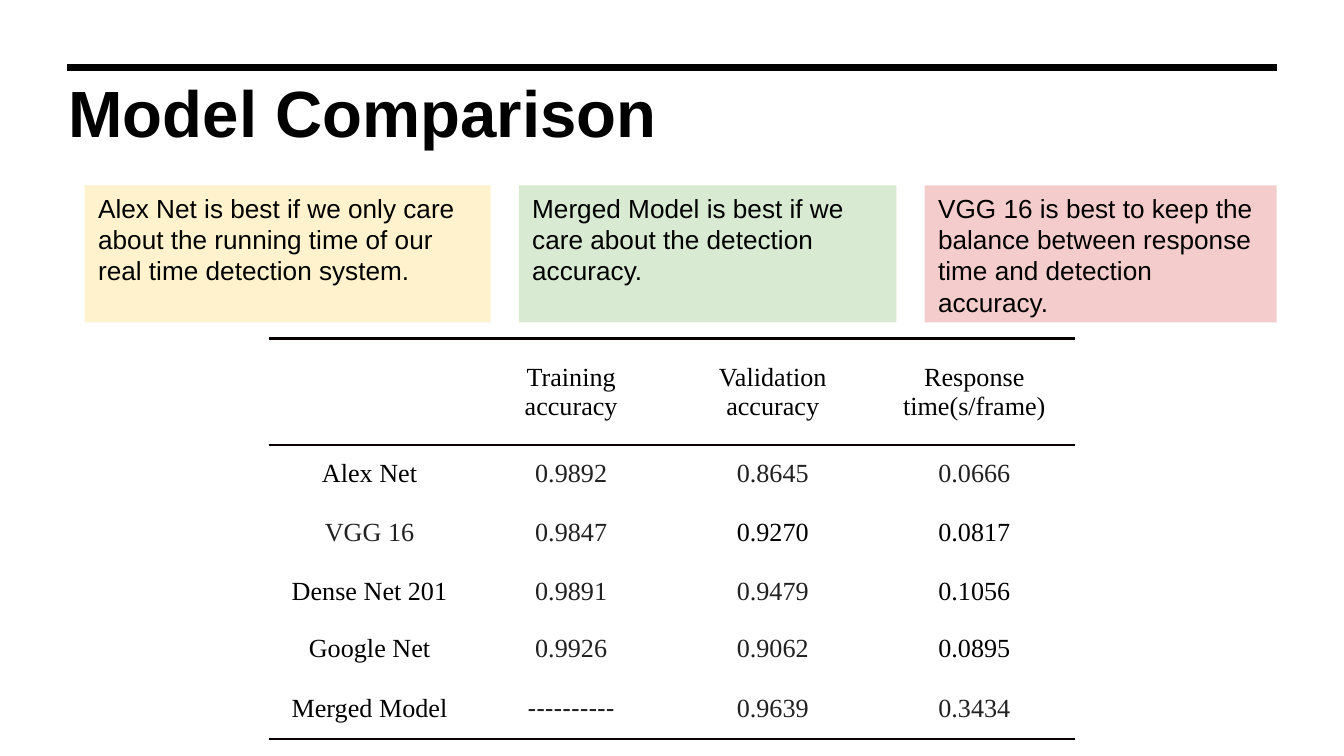
import pptx
import pptx.dml.color
import pptx.enum.shapes
import pptx.enum.text
import pptx.oxml
import pptx.oxml.ns
import pptx.util
from lxml import etree

Inches, Pt = pptx.util.Inches, pptx.util.Pt
RGBColor = pptx.dml.color.RGBColor
qn = pptx.oxml.ns.qn

BLACK = RGBColor(0x00, 0x00, 0x00)
CHARCOAL = RGBColor(0x21, 0x21, 0x21)
RULE = RGBColor(0x08, 0x00, 0x00)
CREAM = RGBColor(0xFF, 0xF2, 0xCC)
MINT = RGBColor(0xD9, 0xEA, 0xD3)
ROSE = RGBColor(0xF4, 0xCC, 0xCC)

SLIDE_WIDTH = 10
SLIDE_HEIGHT = SLIDE_WIDTH * 9 / 16
MARGIN = 0.05 * SLIDE_WIDTH
RIGHT_EDGE = SLIDE_WIDTH - MARGIN
SANS, SERIF = "Arial", "Times New Roman"
BODY_SIZE = 14
NO_STYLE_NO_GRID = "{2D5ABB26-0587-4C30-8999-92F81FD0307C}"

FINDINGS_LEFT, FINDINGS_TOP = 0.63, 1.38
FINDING_HEIGHT, FINDING_GAP = 1.02, 0.21
FINDINGS = [
    (3.02, CREAM, "Alex Net is best if we only care about the running time of our "
                  "real time detection system."),
    (2.81, MINT, "Merged Model is best if we care about the detection accuracy."),
    (2.62, ROSE, "VGG 16 is best to keep the balance between response time and "
                 "detection accuracy."),
]

TABLE_LEFT, TABLE_TOP = 2, 2.52
COLUMN_WIDTH = 1.5
ROW_HEIGHTS = [0.79, 0.43, 0.45, 0.42, 0.43, 0.46]
NO_VALUE = "----------"
RESULTS = [
    ["", "Training accuracy", "Validation accuracy", "Response time(s/frame)"],
    ["Alex Net", "0.9892", "0.8645", "0.0666"],
    ["VGG 16", "0.9847", "0.9270", "0.0817"],
    ["Dense Net 201", "0.9891", "0.9479", "0.1056"],
    ["Google Net", "0.9926", "0.9062", "0.0895"],
    ["Merged Model", NO_VALUE, "0.9639", "0.3434"],
]
CHARCOAL_COLUMNS = [(), (1, 2, 3), (0, 1), (1, 2), (1, 2), (1, 2, 3)]


def add_run(paragraph, text, size, font=SANS, color=BLACK, bold=False):
    run = paragraph.add_run()
    run.text = text
    run.font.size = Pt(size)
    run.font.name = font
    run.font.bold = bold
    run.font.color.rgb = color


def set_insets(target, left, top, right, bottom):
    """Set the inner margins, in inches, of a text frame or table cell."""
    target.margin_left, target.margin_top = Inches(left), Inches(top)
    target.margin_right, target.margin_bottom = Inches(right), Inches(bottom)


def add_title(slide, text):
    title = slide.shapes.add_textbox(Inches(0.51), Inches(0.65), Inches(9.81), Inches(0.44))
    frame = title.text_frame
    frame.word_wrap = True
    set_insets(frame, 0, 0, 0, 0)
    frame.paragraphs[0].line_spacing = 0.8
    add_run(frame.paragraphs[0], text, 35, bold=True)


def add_title_rule(slide):
    rule = slide.shapes.add_connector(
        pptx.enum.shapes.MSO_CONNECTOR.STRAIGHT,
        Inches(MARGIN), Inches(MARGIN), Inches(RIGHT_EDGE), Inches(MARGIN))
    rule.line.color.rgb = BLACK
    rule.line.width = Pt(3.75)
    etree.SubElement(rule._element.spPr, qn("a:effectLst"))


def add_finding(slide, left, width, fill, text):
    finding = slide.shapes.add_shape(
        pptx.enum.shapes.MSO_SHAPE.RECTANGLE,
        Inches(left), Inches(FINDINGS_TOP), Inches(width), Inches(FINDING_HEIGHT))
    finding.shadow.inherit = False
    finding.fill.solid()
    finding.fill.fore_color.rgb = fill
    finding.line.fill.background()
    frame = finding.text_frame
    frame.word_wrap = True
    frame.vertical_anchor = pptx.enum.text.MSO_ANCHOR.TOP
    set_insets(frame, 0, 0.05, 0.1, 0.05)
    paragraph = frame.paragraphs[0]
    paragraph.alignment = pptx.enum.text.PP_ALIGN.LEFT
    properties = paragraph._p.get_or_add_pPr()
    properties.set("marL", str(Inches(0.1)))
    properties.set("indent", "0")
    add_run(paragraph, text, BODY_SIZE)


def add_findings(slide):
    left = FINDINGS_LEFT
    for width, fill, text in FINDINGS:
        add_finding(slide, left, width, fill, text)
        left += width + FINDING_GAP


def set_borders(cell, ruled_sides):
    """Rule the given sides and switch the other sides off."""
    properties = cell._tc.get_or_add_tcPr()
    for side in ("lnL", "lnR", "lnT", "lnB"):
        border = etree.SubElement(properties, qn(f"a:{side}"))
        if side in ruled_sides:
            border.set("w", str(Pt(1.5)))
            solid = etree.SubElement(border, qn("a:solidFill"))
            etree.SubElement(solid, qn("a:srgbClr"), val=str(RULE))
        else:
            etree.SubElement(border, qn("a:noFill"))


def fill_cell(cell, text, color, ruled_sides):
    set_insets(cell, 0.07, 0, 0.07, 0)
    cell.vertical_anchor = pptx.enum.text.MSO_ANCHOR.MIDDLE
    set_borders(cell, ruled_sides)
    cell.fill.background()
    if text:
        paragraph = cell.text_frame.paragraphs[0]
        paragraph.alignment = pptx.enum.text.PP_ALIGN.CENTER
        add_run(paragraph, text, BODY_SIZE, SANS if text == NO_VALUE else SERIF, color)


def add_results(slide):
    column_count = len(RESULTS[0])
    frame = slide.shapes.add_table(
        len(RESULTS), column_count, Inches(TABLE_LEFT), Inches(TABLE_TOP),
        Inches(COLUMN_WIDTH * column_count), Inches(sum(ROW_HEIGHTS)))
    results = frame.table
    results.first_row = results.horz_banding = False
    results._tbl.tblPr.find(qn("a:tableStyleId")).text = NO_STYLE_NO_GRID
    for column in results.columns:
        column.width = Inches(COLUMN_WIDTH)
    ruled_rows = {0: ("lnT", "lnB"), 1: ("lnT",), len(RESULTS) - 1: ("lnB",)}
    for r, (height, texts) in enumerate(zip(ROW_HEIGHTS, RESULTS)):
        results.rows[r].height = Inches(height)
        for c, text in enumerate(texts):
            color = CHARCOAL if c in CHARCOAL_COLUMNS[r] else BLACK
            fill_cell(results.cell(r, c), text, color, ruled_rows.get(r, ()))


def main():
    deck = pptx.Presentation()
    deck.slide_width = Inches(SLIDE_WIDTH)
    deck.slide_height = Inches(SLIDE_HEIGHT)
    slide = deck.slides.add_slide(deck.slide_layouts[6])
    add_title(slide, "Model Comparison")
    add_title_rule(slide)
    add_findings(slide)
    add_results(slide)
    deck.save("out.pptx")


if __name__ == "__main__":
    main()
